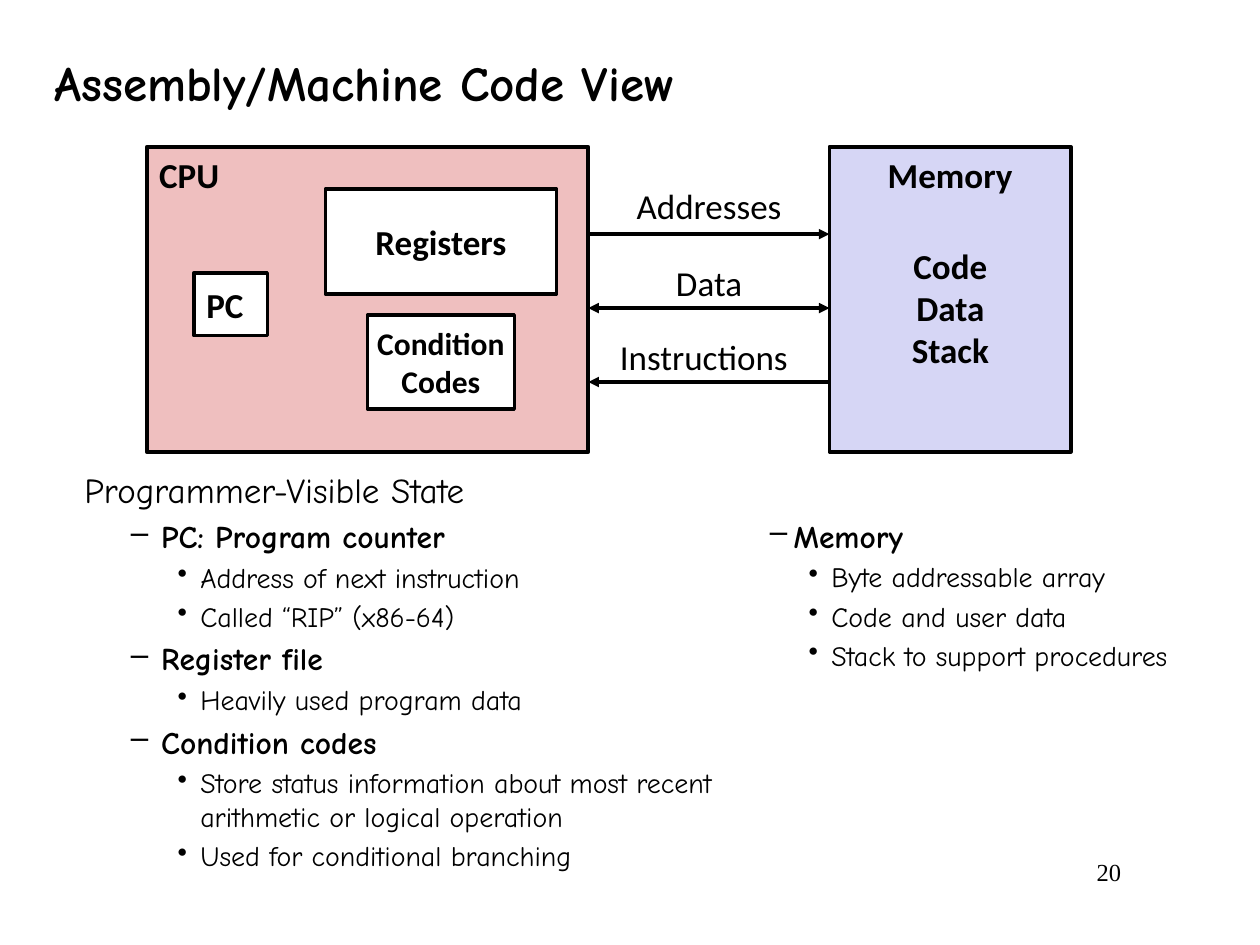
from dataclasses import dataclass
from typing import Optional

from lxml.etree import SubElement
from pptx import Presentation
from pptx.dml.color import RGBColor
from pptx.enum.shapes import MSO_CONNECTOR as Link, MSO_SHAPE as Preset
from pptx.enum.text import MSO_ANCHOR as Anchor, PP_ALIGN as Align
from pptx.oxml.ns import qn
from pptx.util import Cm, Pt

BLACK = RGBColor(0x00, 0x00, 0x00)
WHITE = RGBColor(0xFF, 0xFF, 0xFF)
PINK = RGBColor(0xEF, 0xBF, 0xBF)
LAVENDER = RGBColor(0xD6, 0xD6, 0xF5)
DIAGRAM_FONT = "Calibri"
OUTLINE_FONT = "Comic Neue"
NUMBER_FONT = "Times New Roman"


@dataclass(frozen=True)
class Area:
    left: float
    top: float
    width: float
    height: float

    def lengths(self) -> tuple:
        return Cm(self.left), Cm(self.top), Cm(self.width), Cm(self.height)


@dataclass(frozen=True)
class Block:
    text: str
    area: Area
    fill: RGBColor = WHITE
    size: int = 20
    line: float = 2
    align: Align = Align.CENTER
    anchor: Anchor = Anchor.MIDDLE
    wrap: bool = False


@dataclass(frozen=True)
class Bus:
    label: str
    label_area: Area
    y: float
    to_cpu: bool
    to_memory: bool


@dataclass(frozen=True)
class Level:
    number: int
    size: int
    margin: float
    hanging: float
    bold: bool = False
    bullet: Optional[str] = None


def write(frame, text: str, *, size: int, font: str = DIAGRAM_FONT, bold: bool = False,
          align: Align = Align.LEFT, anchor: Anchor = Anchor.TOP, wrap: bool = True,
          level: Optional[Level] = None, append: bool = False) -> None:
    frame.word_wrap = wrap
    frame.vertical_anchor = anchor
    for index, line in enumerate(text.split("\n")):
        paragraph = frame.add_paragraph() if append or index else frame.paragraphs[0]
        paragraph.alignment = align
        run = paragraph.add_run()
        run.text = line
        run.font.name = font
        run.font.size = Pt(size)
        run.font.bold = bold
        run.font.color.rgb = BLACK
        if level:
            paragraph.level = level.number
            paragraph.space_before = Pt(size * 0.2)
            properties = paragraph._p.get_or_add_pPr()
            properties.set("marL", str(Cm(level.margin)))
            properties.set("indent", str(-Cm(level.hanging)))
            if level.bullet:
                SubElement(properties, qn("a:buChar")).set("char", level.bullet)


def add_label(slide, text: str, area: Area, **style) -> None:
    write(slide.shapes.add_textbox(*area.lengths()).text_frame, text, **style)


def add_block(slide, block: Block) -> None:
    box = slide.shapes.add_shape(Preset.RECTANGLE, *block.area.lengths())
    box.shadow.inherit = False
    box.fill.solid()
    box.fill.fore_color.rgb = block.fill
    box.line.color.rgb = BLACK
    box.line.width = Pt(block.line)
    write(box.text_frame, block.text, size=block.size, bold=True,
          align=block.align, anchor=block.anchor, wrap=block.wrap)


def add_bus(slide, bus: Bus, start: float, end: float) -> None:
    arrow = slide.shapes.add_connector(Link.STRAIGHT, Cm(start), Cm(bus.y), Cm(end), Cm(bus.y))
    arrow.line.color.rgb = BLACK
    arrow.line.width = Pt(2)
    outline = arrow.line._get_or_add_ln()
    for tag, pointed in (("a:headEnd", bus.to_cpu), ("a:tailEnd", bus.to_memory)):
        if pointed:
            SubElement(outline, qn(tag)).set("type", "triangle")
    SubElement(arrow._element.spPr, qn("a:effectLst"))
    add_label(slide, bus.label, bus.label_area, size=20, align=Align.CENTER)


def add_outline(slide, area: Area, entries: list) -> None:
    frame = slide.shapes.add_textbox(*area.lengths()).text_frame
    for index, (level, text) in enumerate(entries):
        write(frame, text, size=level.size, font=OUTLINE_FONT, bold=level.bold,
              level=level, append=index > 0)


CPU = Block("CPU", Area(2.96, 2.96, 8.9, 6.15), PINK, line=2.25,
            align=Align.LEFT, anchor=Anchor.TOP, wrap=True)
MEMORY = Block("Memory", Area(16.72, 2.96, 4.87, 6.15), LAVENDER, anchor=Anchor.TOP)
CPU_PARTS = [
    Block("PC", Area(3.91, 5.5, 1.48, 1.27), align=Align.LEFT),
    Block("Registers", Area(6.56, 3.81, 4.66, 2.12)),
    Block("Condition\nCodes", Area(7.41, 6.35, 2.96, 1.9), size=18),
]
BUSES = [
    Bus("Addresses", Area(11.86, 3.6, 4.87, 1.1), 4.72, False, True),
    Bus("Data", Area(11.86, 5.15, 4.87, 1.1), 6.21, True, True),
    Bus("Instructions", Area(11.86, 6.63, 4.66, 1.1), 7.7, True, False),
]

HEADING = Level(0, 20, 0.64, 0.64)
TOPIC = Level(1, 18, 1.55, 0.61, True, "–")
DETAIL = Level(2, 16, 2.34, 0.46, bullet="•")
SIDE_TOPIC = Level(1, 18, 0.81, 0.48, True, "–")
SIDE_DETAIL = Level(2, 16, 1.57, 0.46, bullet="•")

STATE = [
    (HEADING, "Programmer-Visible State"),
    (TOPIC, "PC: Program counter"),
    (DETAIL, "Address of next instruction"),
    (DETAIL, "Called “RIP” (x86-64)"),
    (TOPIC, "Register file"),
    (DETAIL, "Heavily used program data"),
    (TOPIC, "Condition codes"),
    (DETAIL, "Store status information about most recent arithmetic or logical operation"),
    (DETAIL, "Used for conditional branching"),
]
MEMORY_NOTES = [
    (SIDE_TOPIC, "Memory"),
    (SIDE_DETAIL, "Byte addressable array"),
    (SIDE_DETAIL, "Code and user data"),
    (SIDE_DETAIL, "Stack to support procedures"),
]


def main() -> None:
    deck = Presentation()
    deck.slide_width, deck.slide_height = Cm(25.4), Cm(19.05)
    slide = deck.slides.add_slide(deck.slide_layouts[6])

    add_label(slide, "Assembly/Machine Code View", Area(0.85, 0.85, 20.07, 1.6),
              size=28, font=OUTLINE_FONT, bold=True, anchor=Anchor.MIDDLE)
    for block in [CPU, *CPU_PARTS, MEMORY]:
        add_block(slide, block)
    add_label(slide, "Code\nData\nStack", Area(17.57, 4.8, 3.18, 2.82),
              size=20, bold=True, align=Align.CENTER)
    for bus in BUSES:
        add_bus(slide, bus, CPU.area.left + CPU.area.width, MEMORY.area.left)
    add_outline(slide, Area(1.45, 9.32, 13.49, 8.59), STATE)
    add_outline(slide, Area(14.94, 10.29, 10.06, 4.37), MEMORY_NOTES)
    add_label(slide, "20", Area(19.25, 17.15, 3.6, 1.27),
              size=14, font=NUMBER_FONT, align=Align.RIGHT)
    deck.save("out.pptx")


if __name__ == "__main__":
    main()
